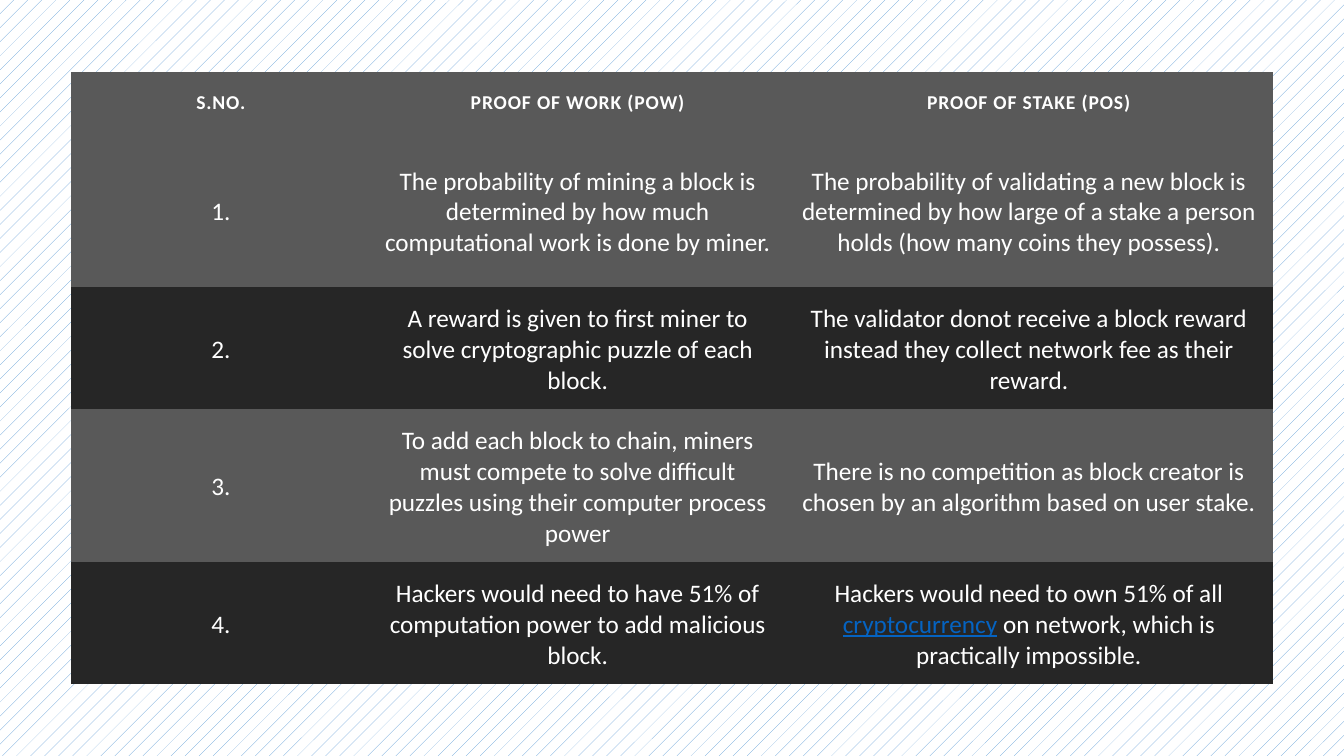
from pptx import Presentation
from pptx.dml.color import RGBColor
from pptx.enum.dml import MSO_PATTERN
from pptx.enum.text import MSO_ANCHOR, PP_ALIGN
from pptx.oxml.ns import qn
from pptx.util import Inches, Pt

FONT = "Calibri"
WHITE, GREY, BLACK = "FFFFFF", "595959", "262626"
LINK_BLUE, PATTERN_BLUE = "0563C1", "5B9BD5"
PLAIN_STYLE = "{2D5ABB26-0587-4C30-8999-92F81FD0307C}"
HEADER_MARGINS = (0.17, 0.17, 0.17, 0.17)
BODY_MARGINS = (0.1, 0.14, 0.1, 0.11)
COLUMN_WIDTHS = (2.98, 4.1, 4.85)
ROW_HEIGHTS = (0.62, 1.52, 1.21, 1.52, 1.21)
LINK_WORD = "cryptocurrency"

HEADINGS = ("S.NO.", "PROOF OF WORK (POW)", "PROOF OF STAKE (POS)")
COMPARISONS = (
    (
        ("The probability of mining a block is determined by how much "
         "computational work is done by miner.",),
        ("The probability of validating a new block is determined by how large "
         "of a stake a person holds (how many coins they possess).",),
    ),
    (
        ("A reward is given to first miner to solve cryptographic puzzle of each block.",),
        ("The validator donot receive a block reward instead they collect "
         "network fee as their reward.",),
    ),
    (
        ("To add each block to chain, miners must compete to solve difficult "
         "puzzles using their computer process power",),
        ("There is no competition as block creator is chosen by an algorithm "
         "based on user stake.",),
    ),
    (
        ("Hackers would need to have 51% of computation power to add malicious block.",),
        ("Hackers would need to own 51% of all ", LINK_WORD,
         " on network, which is practically impossible."),
    ),
)


def color(value):
    """Return the colour for a hex string."""
    return RGBColor.from_string(value)


def set_background(slide):
    """Give the slide its light blue pattern."""
    fill = slide.background.fill
    fill.patterned()
    fill.pattern = MSO_PATTERN.PERCENT_5
    fill.fore_color.rgb = color(PATTERN_BLUE)
    fill.back_color.rgb = color(WHITE)


def add_run(paragraph, text, header):
    """Add one run in heading, body or link formatting."""
    run = paragraph.add_run()
    run.text = text
    font = run.font
    font.name = FONT
    font.size = Pt(14 if header else 18)
    font.bold = header
    font.color.rgb = color(LINK_BLUE if text == LINK_WORD else WHITE)
    font.underline = text == LINK_WORD
    if header:
        run._r.get_or_add_rPr().set("spc", "60")


def fill_cell(cell, texts, background, header=False):
    """Write centred runs into a cell with a solid fill."""
    cell.fill.solid()
    cell.fill.fore_color.rgb = color(background)
    cell.vertical_anchor = MSO_ANCHOR.MIDDLE
    margins = HEADER_MARGINS if header else BODY_MARGINS
    (cell.margin_left, cell.margin_top,
     cell.margin_right, cell.margin_bottom) = map(Inches, margins)
    paragraph = cell.text_frame.paragraphs[0]
    paragraph.alignment = PP_ALIGN.CENTER
    for text in texts:
        add_run(paragraph, text, header)


def add_comparison_table(slide):
    """Add the proof of work and proof of stake table."""
    frame = slide.shapes.add_table(
        len(ROW_HEIGHTS), len(COLUMN_WIDTHS),
        Inches(0.7), Inches(0.71), Inches(11.93), Inches(6.07))
    table = frame.table
    table.horz_banding = False
    table._tbl.tblPr.find(qn("a:tableStyleId")).text = PLAIN_STYLE
    for column, width in zip(table.columns, COLUMN_WIDTHS):
        column.width = Inches(width)
    for row, height in zip(table.rows, ROW_HEIGHTS):
        row.height = Inches(height)
    for index, heading in enumerate(HEADINGS):
        fill_cell(table.cell(0, index), (heading,), GREY, header=True)
    for number, comparison in enumerate(COMPARISONS, start=1):
        background = GREY if number % 2 else BLACK
        for index, texts in enumerate(((f"{number}.",), *comparison)):
            fill_cell(table.cell(number, index), texts, background)


def main():
    """Build and save the presentation."""
    presentation = Presentation()
    presentation.slide_width = Inches(13.33)
    presentation.slide_height = Inches(7.5)
    slide = presentation.slides.add_slide(presentation.slide_layouts[6])
    set_background(slide)
    add_comparison_table(slide)
    presentation.save("out.pptx")


if __name__ == "__main__":
    main()
